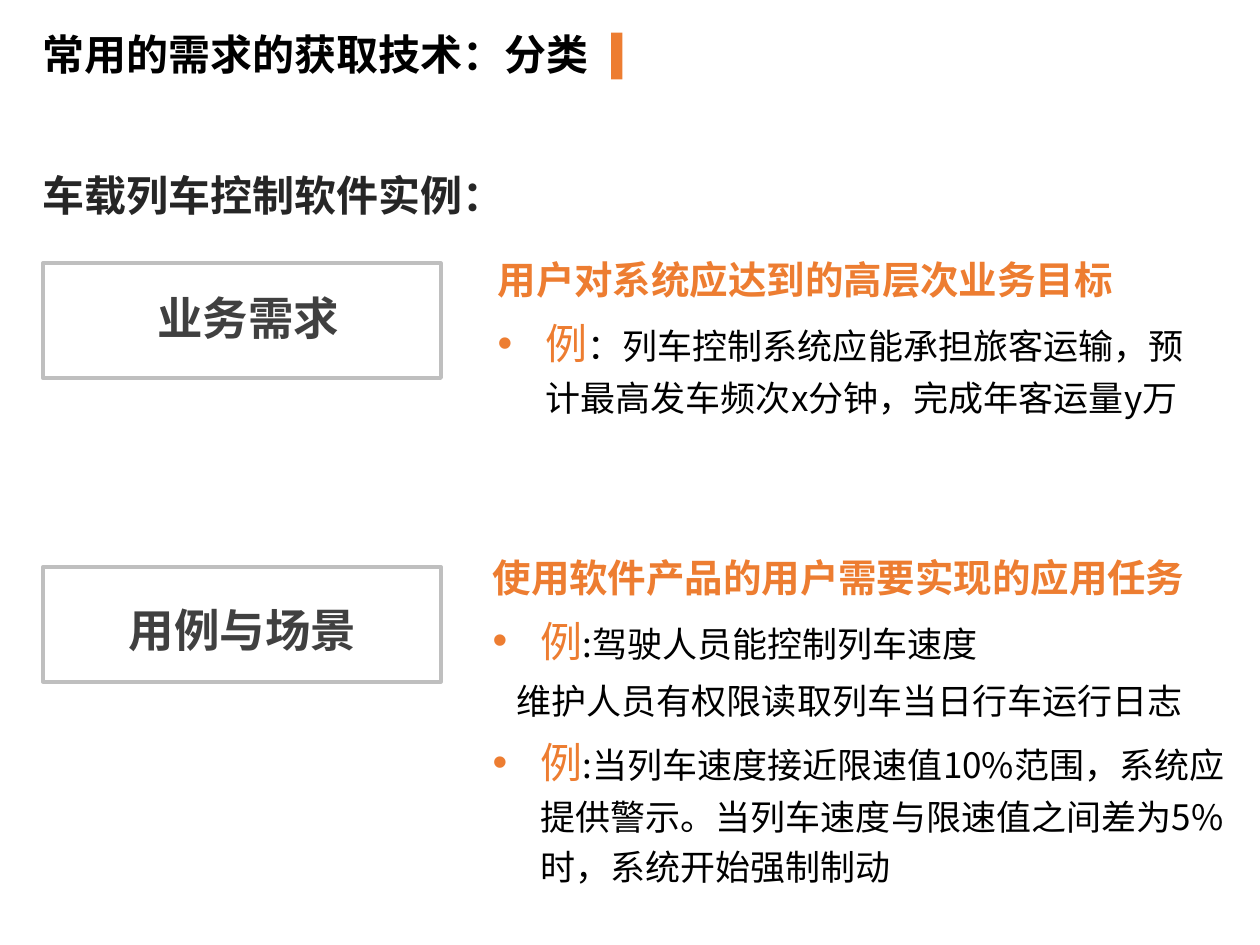
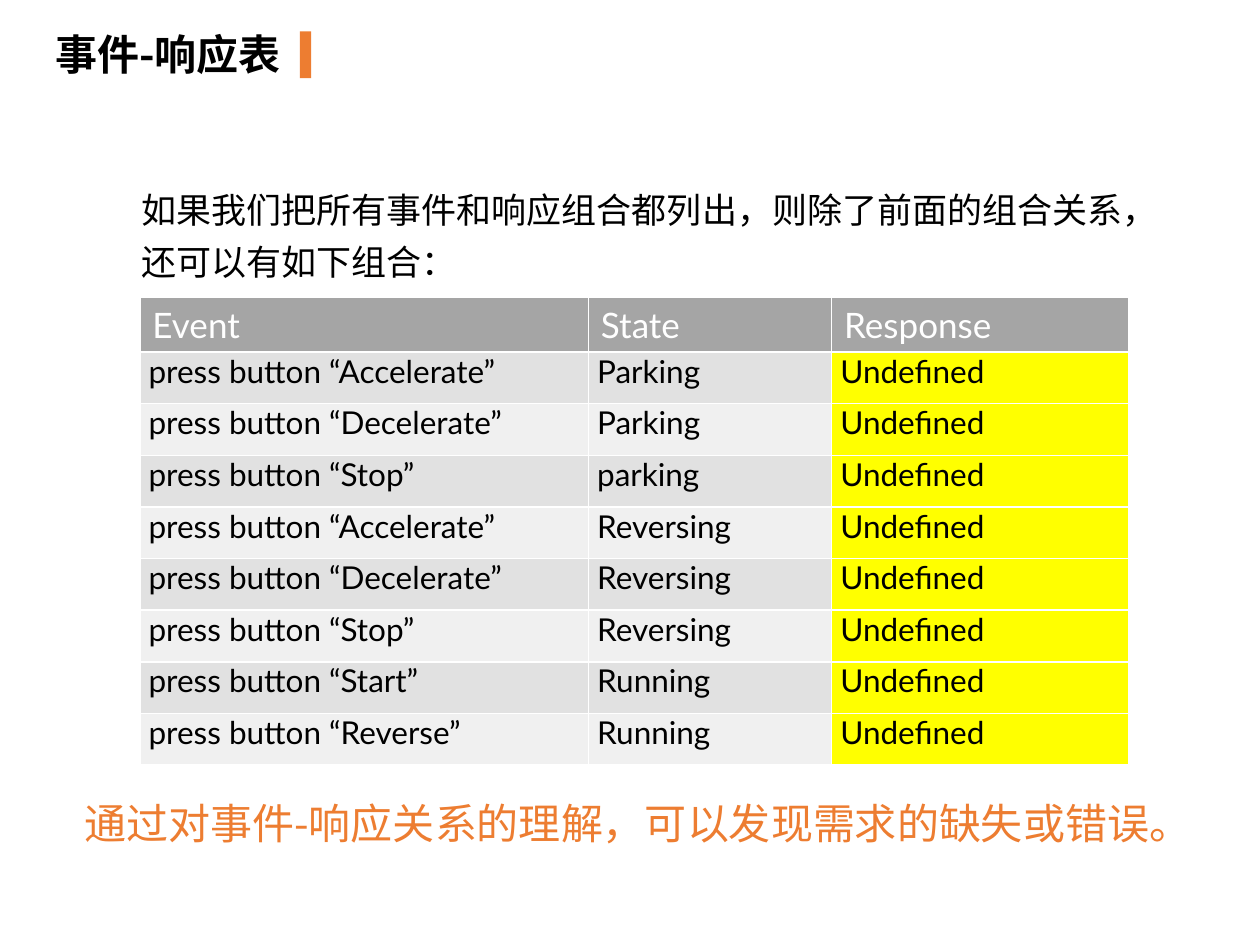
from lxml.etree import SubElement
from pptx import Presentation
from pptx.dml.color import RGBColor
from pptx.enum.shapes import MSO_SHAPE
from pptx.enum.text import MSO_ANCHOR, MSO_AUTO_SIZE, PP_ALIGN
from pptx.oxml.ns import qn
from pptx.util import Inches, Pt

ORANGE = RGBColor(0xED, 0x7D, 0x31)
BLACK = RGBColor(0, 0, 0)
WHITE = RGBColor(0xFF, 0xFF, 0xFF)
HEADING = RGBColor(0x26, 0x26, 0x26)
LABEL = RGBColor(0x40, 0x40, 0x40)
FRAME = RGBColor(0xBF, 0xBF, 0xBF)
HEADER_FILL = RGBColor(0xA5, 0xA5, 0xA5)
ROW_FILLS = (RGBColor(0xE1, 0xE1, 0xE1), RGBColor(0xF0, 0xF0, 0xF0))
YELLOW = RGBColor(0xFF, 0xFF, 0)
CHINESE_FONT = "Noto Sans CJK SC"
TABLE_FONT = "Lato"
TWO_CONTENT_LAYOUT = 3


class Deck:
    """Holds the shared style and the current slide."""

    def __init__(self):
        self.presentation = Presentation()
        self.presentation.slide_width = Inches(10)
        self.presentation.slide_height = Inches(7.5)
        self.slide = None

    def style(self, font, size, color, bold=False, name=CHINESE_FONT):
        font.size, font.bold, font.name = Pt(size), bold, name
        font.color.rgb = color
        SubElement(font._element, qn("a:ea"), typeface=name)

    def place(self, shape, left, top, width, height, wrap=True):
        shape.left, shape.top = Inches(left), Inches(top)
        shape.width, shape.height = Inches(width), Inches(height)
        frame = shape.text_frame
        frame.word_wrap = wrap
        frame.auto_size = MSO_AUTO_SIZE.SHAPE_TO_FIT_TEXT
        frame.vertical_anchor = MSO_ANCHOR.TOP
        return frame

    def set_indent(self, paragraph, margin=0, indent=0, bullet=False):
        properties = paragraph._p.get_or_add_pPr()
        properties.set("marL", str(Inches(margin)))
        properties.set("indent", str(Inches(indent)))
        if bullet:
            color = SubElement(properties, qn("a:buClr"))
            SubElement(color, qn("a:srgbClr"), val=str(ORANGE))
            SubElement(properties, qn("a:buFont"), typeface="Arial")
            SubElement(properties, qn("a:buChar"), char="•")
        else:
            SubElement(properties, qn("a:buNone"))

    def add_slide(self, title, left, width, bar_left, bar_top):
        layout = self.presentation.slide_layouts[TWO_CONTENT_LAYOUT]
        self.slide = self.presentation.slides.add_slide(layout)
        frame = self.place(self.slide.shapes.title, left, 0.18, width, 0.5)
        frame.text = title
        paragraph = frame.paragraphs[0]
        paragraph.alignment = PP_ALIGN.LEFT
        self.style(paragraph.font, 24, BLACK, bold=True)
        bar = self.add_rectangle(bar_left, bar_top, 0.09, 0.37)
        bar.fill.solid()
        bar.fill.fore_color.rgb = ORANGE
        bar.line.fill.background()

    def add_rectangle(self, left, top, width, height):
        shape = self.slide.shapes.add_shape(
            MSO_SHAPE.RECTANGLE, Inches(left), Inches(top), Inches(width), Inches(height))
        shape.shadow.inherit = False
        return shape

    def add_frame(self, top):
        frame = self.add_rectangle(0.34, top, 3.16, 0.91)
        frame.fill.background()
        frame.line.color.rgb = FRAME
        frame.line.width = Pt(2.25)

    def add_text(self, text, box, size, color, alignment=PP_ALIGN.LEFT, spacing=1.0):
        shape = self.slide.shapes.add_textbox(0, 0, 0, 0)
        frame = self.place(shape, *box, wrap=False)
        frame.text = text
        paragraph = frame.paragraphs[0]
        paragraph.alignment = alignment
        paragraph.line_spacing = spacing
        self.style(paragraph.font, size, color, bold=True)

    def add_body(self, index, text, box, size, color, spacing=1.0, hanging=0, bold=False):
        frame = self.place(self.slide.placeholders[index], *box)
        frame.text = text
        paragraph = frame.paragraphs[0]
        self.set_indent(paragraph, hanging, -hanging)
        paragraph.space_before = Pt(0)
        paragraph.line_spacing = spacing
        self.style(paragraph.font, size, color, bold)
        return frame

    def add_examples(self, index, heading, examples, box):
        frame = self.add_body(index, heading, box, 22, ORANGE, 1.2, bold=True)
        for lead, text in examples:
            paragraph = frame.add_paragraph()
            if lead:
                self.set_indent(paragraph, 0.38, -0.38, bullet=True)
                run = paragraph.add_run()
                run.text = lead
                self.style(run.font, 24, ORANGE)
            else:
                self.set_indent(paragraph, 0.19)
            paragraph.line_spacing = 1.2
            paragraph.space_before = Pt(3)
            run = paragraph.add_run()
            run.text = text
            self.style(run.font, 20, BLACK)

    def fill_cell(self, cell, text, size, color, fill, margins):
        cell.text = text
        cell.margin_left = cell.margin_right = Inches(margins[0])
        cell.margin_top = cell.margin_bottom = Inches(margins[1])
        paragraph = cell.text_frame.paragraphs[0]
        paragraph.alignment = PP_ALIGN.JUSTIFY
        self.style(paragraph.font, size, color, name=TABLE_FONT)
        properties = cell._tc.get_or_add_tcPr()
        for side in ("lnL", "lnR", "lnT", "lnB"):
            line = SubElement(properties, qn(f"a:{side}"), w=str(Pt(1)))
            solid = SubElement(line, qn("a:solidFill"))
            SubElement(solid, qn("a:srgbClr"), val=str(WHITE))
        cell.fill.solid()
        cell.fill.fore_color.rgb = fill

    def add_table(self, header, rows, left, top, widths, header_height, row_height):
        height = header_height + row_height * len(rows)
        table = self.slide.shapes.add_table(
            len(rows) + 1, len(header), Inches(left), Inches(top),
            Inches(sum(widths)), Inches(height)).table
        for column, width in zip(table.columns, widths):
            column.width = Inches(width)
        for row in table.rows:
            row.height = Inches(row_height)
        table.rows[0].height = Inches(header_height)
        for column, text in enumerate(header):
            self.fill_cell(table.cell(0, column), text, 20, WHITE, HEADER_FILL, (0.1, 0.05))
        for number, values in enumerate(rows):
            for column, text in enumerate(values):
                fill = YELLOW if column == len(header) - 1 else ROW_FILLS[number % 2]
                self.fill_cell(table.cell(number + 1, column), text, 18, BLACK, fill, (0.07, 0))


def build_requirements(deck):
    deck.add_slide("常用的需求的获取技术：分类", 0.24, 4.6, 4.85, 0.26)
    deck.add_text("车载列车控制软件实例：", (0.24, 1.3, 3.9, 0.5), 24, HEADING)
    for frame_top, label, box in (
        (2.09, "业务需求", (1.14, 2.3, 1.66, 0.49)),
        (4.5, "用例与场景", (0.91, 4.78, 2.03, 0.49)),
    ):
        deck.add_frame(frame_top)
        deck.add_text(label, box, 26, LABEL, PP_ALIGN.CENTER, 0.9)
    deck.add_examples(1, "用户对系统应达到的高层次业务目标", [
        ("例", "：列车控制系统应能承担旅客运输，预计最高发车频次x分钟，完成年客运量y万"),
    ], (3.85, 1.91, 5.82, 1.52))
    deck.add_examples(2, "使用软件产品的用户需要实现的应用任务", [
        ("例", ":驾驶人员能控制列车速度"),
        ("", "维护人员有权限读取列车当日行车运行日志"),
        ("例", ":当列车速度接近限速值10%范围，系统应提供警示。"
               "当列车速度与限速值之间差为5%时，系统开始强制制动"),
    ], (3.81, 4.27, 6.03, 2.85))


def build_event_table(deck):
    deck.add_slide("事件-响应表", 0.34, 3.97, 2.38, 0.25)
    deck.add_body(1, "如果我们把所有事件和响应组合都列出，则除了前面的组合关系，还可以有如下组合：",
                  (1.02, 1.36, 8.37, 0.94), 20, BLACK, spacing=1.25)
    events = [
        ("Accelerate", "Parking"), ("Decelerate", "Parking"), ("Stop", "parking"),
        ("Accelerate", "Reversing"), ("Decelerate", "Reversing"), ("Stop", "Reversing"),
        ("Start", "Running"), ("Reverse", "Running"),
    ]
    rows = [(f"press button “{button}”", state, "Undefined") for button, state in events]
    deck.add_table(("Event", "State", "Response"), rows, 1.11, 2.36,
                   (3.56, 1.93, 2.36), 0.43, 0.41)
    deck.add_body(2, "通过对事件-响应关系的理解，可以发现需求的缺失或错误。",
                  (0.57, 6.28, 8.77, 0.5), 24, ORANGE, hanging=0.51)


def main():
    deck = Deck()
    build_requirements(deck)
    build_event_table(deck)
    deck.presentation.save("out.pptx")


if __name__ == "__main__":
    main()
